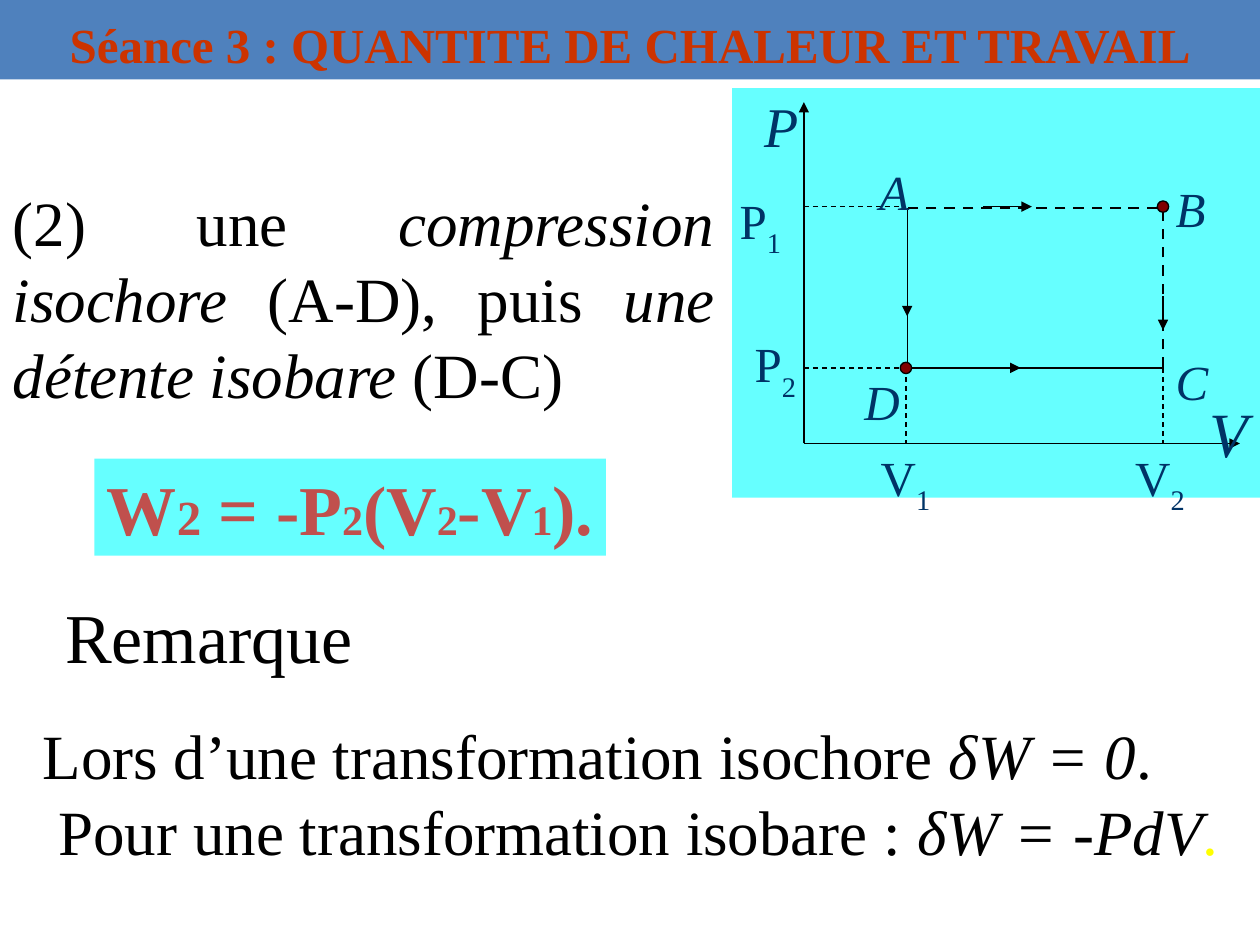
from pptx import Presentation
from pptx.dml.color import RGBColor
from pptx.enum.dml import MSO_LINE
from pptx.enum.shapes import MSO_CONNECTOR, MSO_SHAPE
from pptx.enum.text import MSO_ANCHOR, MSO_AUTO_SIZE, PP_ALIGN
from pptx.oxml.ns import qn
from pptx.util import Inches, Pt
from lxml.etree import SubElement

FONT = "Times New Roman"
BLACK = RGBColor(0x00, 0x00, 0x00)
CYAN = RGBColor(0x66, 0xFF, 0xFF)
NAVY = RGBColor(0x00, 0x33, 0x66)
MAROON = RGBColor(0x80, 0x00, 0x00)
BANNER_BLUE = RGBColor(0x4F, 0x81, 0xBD)
TITLE_RED = RGBColor(0xCC, 0x33, 0x00)
FORMULA_RED = RGBColor(0xC0, 0x50, 0x4D)
YELLOW = RGBColor(0xFF, 0xFF, 0x00)


def place(shape, left, top, width, height):
    shape.left, shape.top = Inches(left), Inches(top)
    shape.width, shape.height = Inches(width), Inches(height)


def add_run(paragraph, text, size, color=BLACK, italic=False, bold=False):
    run = paragraph.add_run()
    run.text = text
    run.font.name = FONT
    run.font.size = Pt(size)
    run.font.color.rgb = color
    run.font.italic = italic
    run.font.bold = bold
    return run


def set_frame(shape, anchor=MSO_ANCHOR.TOP, wrap=True, inset_x=0.1, inset_y=0.05,
              auto_size=MSO_AUTO_SIZE.SHAPE_TO_FIT_TEXT):
    frame = shape.text_frame
    frame.auto_size = auto_size
    frame.word_wrap = wrap
    frame.vertical_anchor = anchor
    frame.margin_left = frame.margin_right = Inches(inset_x)
    frame.margin_top = frame.margin_bottom = Inches(inset_y)
    return frame


def fill_plain(shape, color):
    shape.shadow.inherit = False
    shape.fill.solid()
    shape.fill.fore_color.rgb = color
    shape.line.fill.background()


def set_line(shape, width=0.75, dashed=False):
    shape.line.color.rgb = BLACK
    shape.line.width = Pt(width)
    if dashed:
        shape.line.dash_style = MSO_LINE.DASH


def add_title(slide, left, top, width, height):
    title = slide.shapes.title
    place(title, left, top, width, height)
    title.fill.solid()
    title.fill.fore_color.rgb = BANNER_BLUE
    frame = set_frame(title, MSO_ANCHOR.BOTTOM, auto_size=MSO_AUTO_SIZE.NONE)
    paragraph = frame.paragraphs[0]
    paragraph.alignment = PP_ALIGN.CENTER
    paragraph.line_spacing = 1.5
    add_run(paragraph, "Séance 3 : QUANTITE DE CHALEUR ET TRAVAIL", 28, TITLE_RED, bold=True)


def add_process(slide, left, top, width, height):
    body = slide.placeholders[1]
    place(body, left, top, width, height)
    paragraph = set_frame(body).paragraphs[0]
    properties = paragraph._p.get_or_add_pPr()
    properties.set("marL", "0")
    properties.set("indent", "0")
    SubElement(properties, qn("a:buNone"))
    paragraph.alignment = PP_ALIGN.JUSTIFY
    paragraph.space_before = Pt(0)
    for text, italic in (("(2) une ", False), ("compression isochore", True),
                         (" (A-D), puis ", False), ("une détente isobare", True),
                         (" (D-C)", False)):
        add_run(paragraph, text, 36, italic=italic)


def add_formula(slide, left, top, width, height):
    box = slide.shapes.add_shape(MSO_SHAPE.RECTANGLE, Inches(left), Inches(top),
                                 Inches(width), Inches(height))
    fill_plain(box, CYAN)
    paragraph = set_frame(box, MSO_ANCHOR.MIDDLE, wrap=False).paragraphs[0]
    paragraph.alignment = PP_ALIGN.LEFT
    for text, size in (("W", 40), ("2", 28), (" = -P", 40), ("2", 24), ("(V", 40),
                       ("2", 24), ("-V", 40), ("1", 24), (").", 40)):
        add_run(paragraph, text, size, FORMULA_RED, bold=True)


def add_remark(slide, left, top, width, height):
    heading = slide.shapes.add_textbox(Inches(left + 0.18), Inches(top), Inches(2.62), Inches(0.77))
    add_run(set_frame(heading, wrap=False).paragraphs[0], "Remarque", 40)

    text_top = 0.98
    conclusion = slide.shapes.add_textbox(Inches(left), Inches(top + text_top),
                                          Inches(width), Inches(height - text_top))
    frame = set_frame(conclusion, MSO_ANCHOR.MIDDLE)
    isochoric, isobaric = frame.paragraphs[0], frame.add_paragraph()
    add_run(isochoric, "Lors d’une transformation isochore ", 36)
    add_run(isochoric, "δW = 0", 36, italic=True)
    add_run(isochoric, ".", 36)
    add_run(isobaric, " Pour une transformation isobare : ", 36)
    add_run(isobaric, "δW = -PdV", 36, italic=True)
    add_run(isobaric, ".", 36, YELLOW)


def add_diagram(slide, left, top, width, height):
    shapes = slide.shapes.add_group_shape().shapes
    axis_x, v1, v2 = 0.57, 1.38, 3.42
    p1, p2, axis_y = 0.94, 2.22, 2.82

    def at(x, y):
        return Inches(left + x), Inches(top + y)

    def add_segment(start, end, dashed=False, arrow=False):
        connector = shapes.add_connector(MSO_CONNECTOR.STRAIGHT, *at(*start), *at(*end))
        set_line(connector, dashed=dashed)
        properties = connector._element.spPr
        if arrow:
            SubElement(properties.find(qn("a:ln")), qn("a:tailEnd"), type="triangle")
        SubElement(properties, qn("a:effectLst"))

    def add_path(points, line_width, dashed=False):
        builder = shapes.build_freeform(*at(*points[0]))
        builder.add_line_segments([at(*point) for point in points[1:]], close=False)
        path = builder.convert_to_shape()
        path.shadow.inherit = False
        path.fill.background()
        set_line(path, line_width, dashed)

    def add_label(x, y, text, subscript="", size=28, label_width=0.46):
        label = shapes.add_textbox(*at(x, y), Inches(label_width), Inches(0.43))
        frame = set_frame(label, inset_x=0.06, inset_y=0.03, auto_size=MSO_AUTO_SIZE.NONE)
        paragraph = frame.paragraphs[0]
        add_run(paragraph, text, size, NAVY, italic=not subscript)
        if subscript:
            run = add_run(paragraph, subscript, size, NAVY)
            run.font._element.set("baseline", "-30000")

    background = shapes.add_shape(MSO_SHAPE.RECTANGLE, *at(0, 0), Inches(width), Inches(height))
    fill_plain(background, CYAN)

    origin = (axis_x, axis_y)
    for end in ((axis_x, 0.11), (4.03, axis_y)):
        add_segment(origin, end, arrow=True)
    add_path([(v1 + 0.01, p1 + 0.01), (v1 + 0.01, p2), (v2, p2)], 0.75)
    add_path([(v2, p2), (v2, p1 + 0.01), (v1 - 0.03, p1 + 0.01)], 1.5, dashed=True)
    for pressure in (p2, p1):
        add_segment((axis_x, pressure), (v1, pressure), dashed=True)
    for volume in (v1, v2):
        add_segment((volume, p2), (volume, axis_y), dashed=True)

    for x, y, text, subscript, label_width in (
            (0, 0.78, "P", "1", 0.59), (0.12, 1.92, "P", "2", 0.64),
            (1.12, axis_y, "V", "1", 0.72), (3.14, axis_y, "V", "2", 0.66)):
        add_label(x, y, text, subscript, label_width=label_width)
    add_label(0.2, 0, "P", size=32)
    add_label(3.73, 2.4, "V", size=36)

    diameter = 0.09
    for x, y in ((v1, p2), (v2, p1)):
        dot = shapes.add_shape(MSO_SHAPE.OVAL, *at(x - diameter / 2, y - diameter / 2),
                               Inches(diameter), Inches(diameter))
        fill_plain(dot, MAROON)
        set_line(dot)

    for start, end in (((v1 + 0.01, 1.49), (v1 + 0.01, 1.81)), ((1.99, p1), (2.38, p1)),
                       ((2.06, p2), (2.29, p2)), ((v2, 1.65), (v2, 1.92))):
        add_segment(start, end, arrow=True)
    for x, y, text in ((3.46, 0.69, "B"), (1.11, 0.55, "A"), (3.46, 2.06, "C"), (0.99, p2, "D")):
        add_label(x, y, text)


def main():
    presentation = Presentation()
    presentation.slide_width, presentation.slide_height = Inches(10), Inches(7.5)
    slide = presentation.slides.add_slide(presentation.slide_layouts[1])
    add_title(slide, 0, 0, 10, 0.63)
    add_diagram(slide, 5.81, 0.7, 4.19, 3.25)
    add_process(slide, 0, 1.41, 5.77, 1.9)
    add_formula(slide, 0.75, 3.64, 4.06, 0.77)
    add_remark(slide, 0.24, 4.66, 9.76, 2.28)
    presentation.save("out.pptx")


if __name__ == "__main__":
    main()
